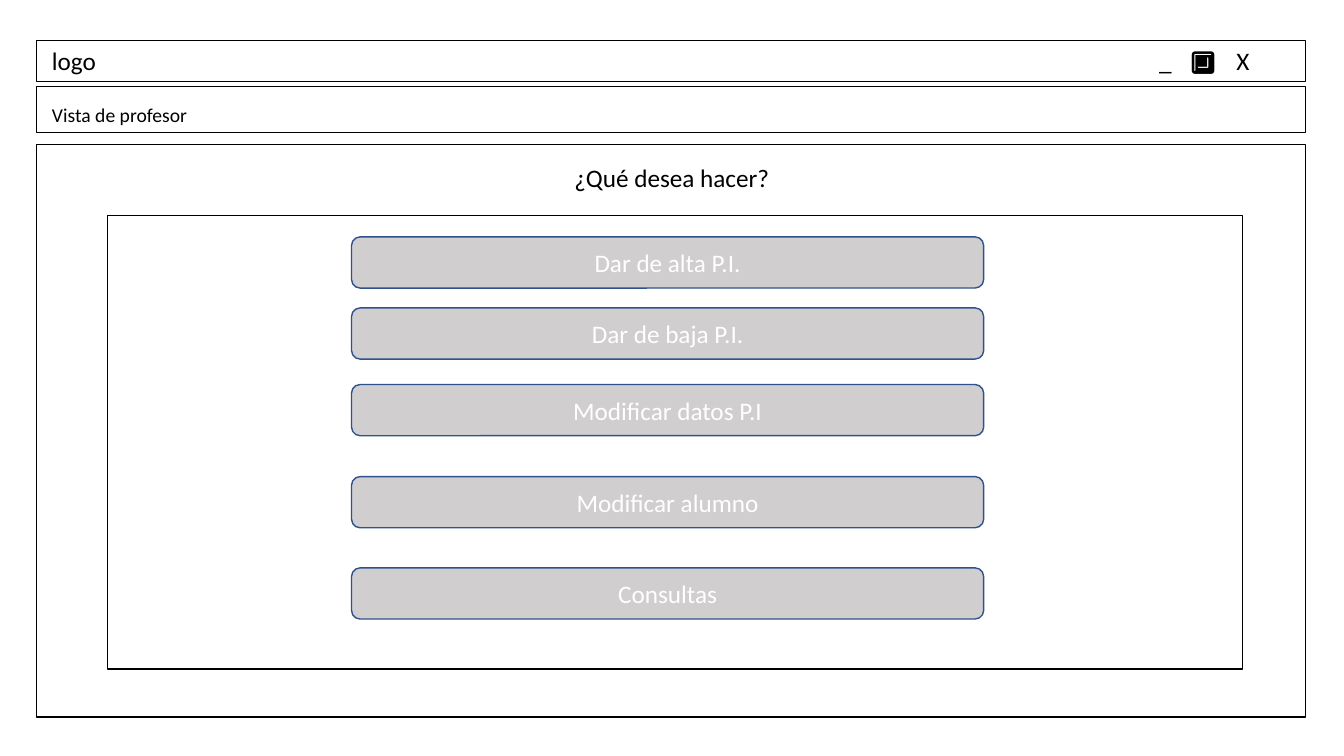
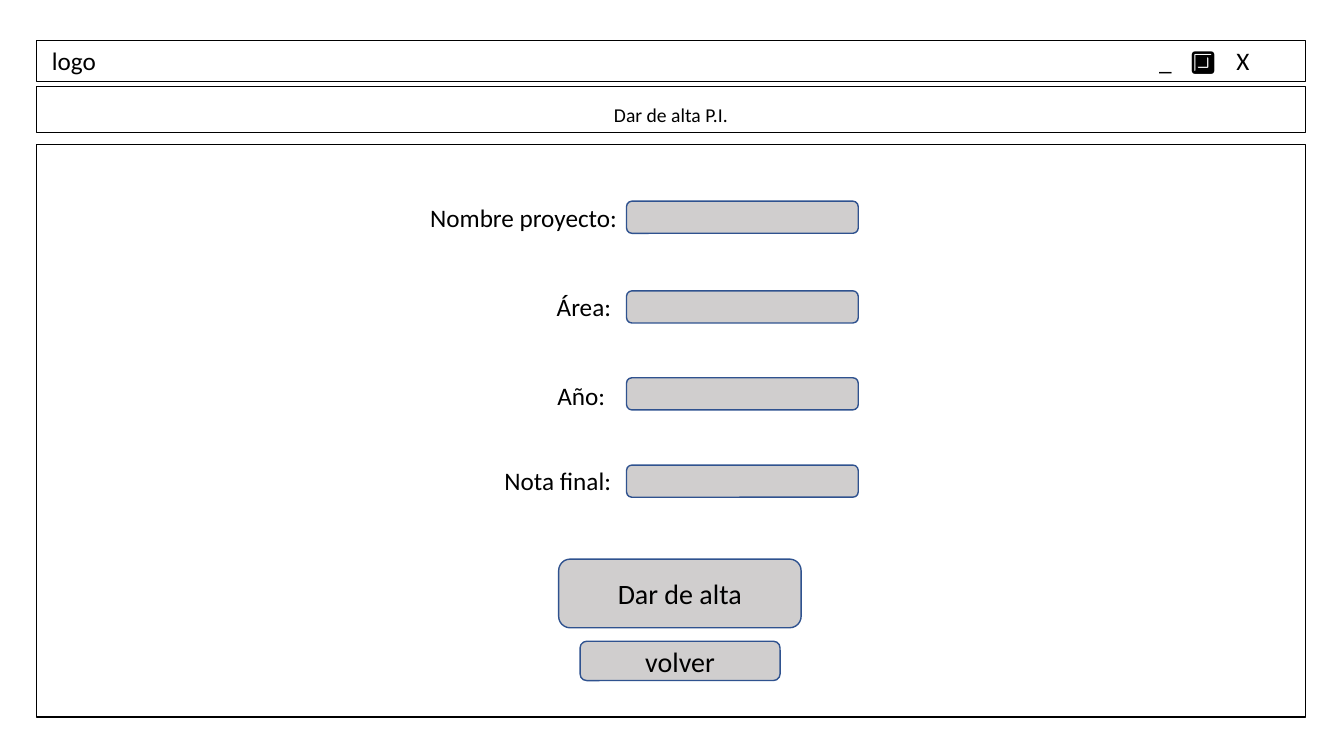
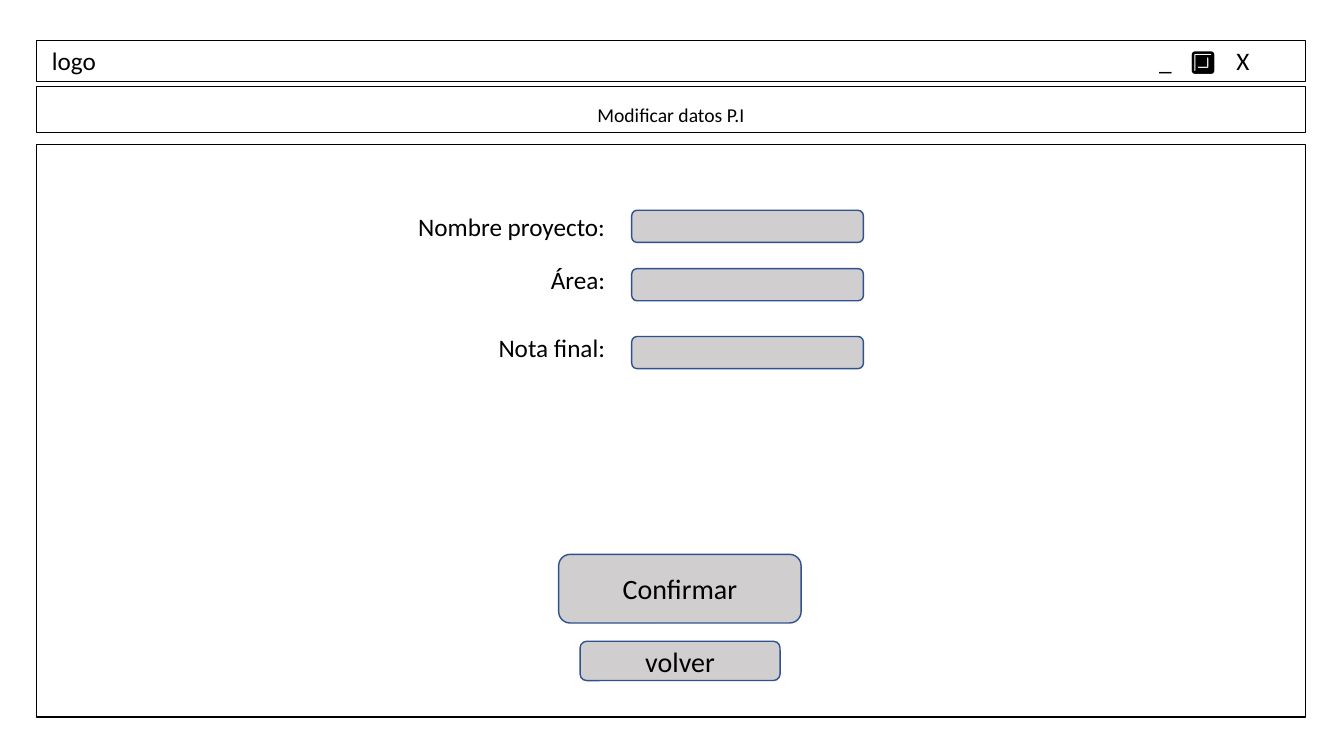
"""Build three wireframe screens for the teacher's view of a project register."""
from lxml import etree
from pptx import Presentation
from pptx import util as u
from pptx.dml.color import RGBColor
from pptx.enum import shapes, text
from pptx.oxml.ns import qn

COLOURS = {"ink": "000000", "white": "FFFFFF", "grey": "D0CECE", "blue": "2F528F"}
FONT = "Calibri"
MARGIN, FRAME_WIDTH = 0.92, 31.98
INSET = 0.39
LINE_HEIGHT = 1.03
WINDOW_TABS = (27.9, 28.7, 29.85)
FIELD_SIZE = (5.84, 0.81)
LABEL_WIDTH = 8.64
CENTER, LEFT, RIGHT = text.PP_ALIGN.CENTER, text.PP_ALIGN.LEFT, text.PP_ALIGN.RIGHT


def colour(name):
    """Return the named colour."""
    return RGBColor.from_string(COLOURS[name])


def place(box, left, top, width, height):
    """Set position and size in centimetres."""
    box.left, box.top = u.Cm(left), u.Cm(top)
    box.width, box.height = u.Cm(width), u.Cm(height)


def outline(box, line, weight):
    """Draw the border of a box."""
    box.line.color.rgb = colour(line)
    box.line.width = u.Pt(weight)


def write(box, words, size=18, ink="ink", align=CENTER, anchor=text.MSO_ANCHOR.TOP):
    """Write one styled paragraph in a box and return it."""
    frame = box.text_frame
    frame.word_wrap = True
    frame.vertical_anchor = anchor
    para = frame.paragraphs[0]
    para.alignment = align
    span = para.add_run()
    span.text = words
    span.font.name = FONT
    span.font.size = u.Pt(size)
    span.font.color.rgb = colour(ink)
    return para


def add_frame(page, left, top, width, height, weight):
    """Add an unfilled black rectangle."""
    box = page.shapes.add_shape(shapes.MSO_SHAPE.RECTANGLE, *map(u.Cm, (left, top, width, height)))
    box.shadow.inherit = False
    box.fill.background()
    outline(box, "ink", weight)
    return box


def add_button(page, left, top, width, height, words="", size=20, ink="ink"):
    """Add a rounded grey button, or an input field when it has no words."""
    box = page.shapes.add_shape(
        shapes.MSO_SHAPE.ROUNDED_RECTANGLE, *map(u.Cm, (left, top, width, height)))
    box.shadow.inherit = False
    box.fill.solid()
    box.fill.fore_color.rgb = colour("grey")
    outline(box, "blue", 1)
    if words:
        write(box, words, size, ink, anchor=text.MSO_ANCHOR.MIDDLE)


def add_label(page, words, left, top, width, align):
    """Add a one-line text box."""
    box = page.shapes.add_textbox(*map(u.Cm, (left, top, width, LINE_HEIGHT)))
    write(box, words, align=align)


def add_window_bar(page):
    """Add the top bar with the logo word and the window controls."""
    bar = add_frame(page, MARGIN, 1.01, FRAME_WIDTH, LINE_HEIGHT, 0.25)
    bar.text_frame.margin_left = u.Cm(INSET)
    para = write(bar, "logo\t_\t🔲\tX", align=LEFT)
    tabs = etree.SubElement(para._p.get_or_add_pPr(), qn("a:tabLst"))
    for position in WINDOW_TABS:
        etree.SubElement(tabs, qn("a:tab"), pos=str(u.Cm(position)), algn="l")


def add_screen(deck, title, align=CENTER):
    """Add a page with window bar, title band and main panel."""
    page = deck.slides.add_slide(deck.slide_layouts[5])
    band = page.shapes.title
    place(band, MARGIN, 2.18, FRAME_WIDTH, 1.16)
    outline(band, "ink", 0.25)
    para = write(band, title, 14, align=align)
    para.line_spacing = 1.5
    band.text_frame.auto_size = text.MSO_AUTO_SIZE.NONE
    if align == LEFT:
        band.text_frame.margin_left = u.Cm(INSET)
    add_window_bar(page)
    add_frame(page, MARGIN, 3.64, FRAME_WIDTH, 14.43, 1)
    return page


def add_menu_screen(deck):
    """Add the menu of actions."""
    page = add_screen(deck, "Vista de profesor", LEFT)
    add_label(page, "¿Qué desea hacer?", 12.14, 3.96, 9.58, CENTER)
    add_frame(page, 2.72, 5.43, 28.6, 11.43, 0.75)
    options = (
        ("Dar de alta P.I.", 5.97),
        ("Dar de baja P.I.", 7.76),
        ("Modificar datos P.I", 9.69),
        ("Modificar alumno", 12.01),
        ("Consultas", 14.31),
    )
    for words, top in options:
        add_button(page, 8.86, top, 15.93, 1.29, words, 18, "white")


def add_form_screen(deck, title, rows, field_left, action, action_top):
    """Add a form of labelled fields with its action and return buttons."""
    page = add_screen(deck, title)
    for words, label_left, label_top, field_top in rows:
        add_label(page, words, label_left, label_top, LABEL_WIDTH, RIGHT)
        add_button(page, field_left, field_top, *FIELD_SIZE)
    add_button(page, 14.08, action_top, 6.11, 1.73, action)
    add_button(page, 14.62, 16.16, 5.04, 0.99, "volver")


def main():
    """Build and save the deck."""
    deck = Presentation()
    deck.slide_width, deck.slide_height = u.Cm(33.87), u.Cm(19.05)
    add_menu_screen(deck)
    add_form_screen(deck, "Dar de alta P.I.", (
        ("Nombre proyecto:", 7.16, 4.98, 5.07),
        ("Área:", 7.01, 7.22, 7.33),
        ("Año:", 6.86, 9.47, 9.52),
        ("Nota final:", 7.01, 11.61, 11.72),
    ), 15.79, "Dar de alta", 14.09)
    add_form_screen(deck, "Modificar datos P.I", (
        ("Nombre proyecto:", 6.86, 5.19, 5.3),
        ("Área:", 6.86, 6.53, 6.77),
        ("Nota final:", 6.86, 8.24, 8.48),
    ), 15.92, "Confirmar", 13.97)
    deck.save("out.pptx")


if __name__ == "__main__":
    main()
